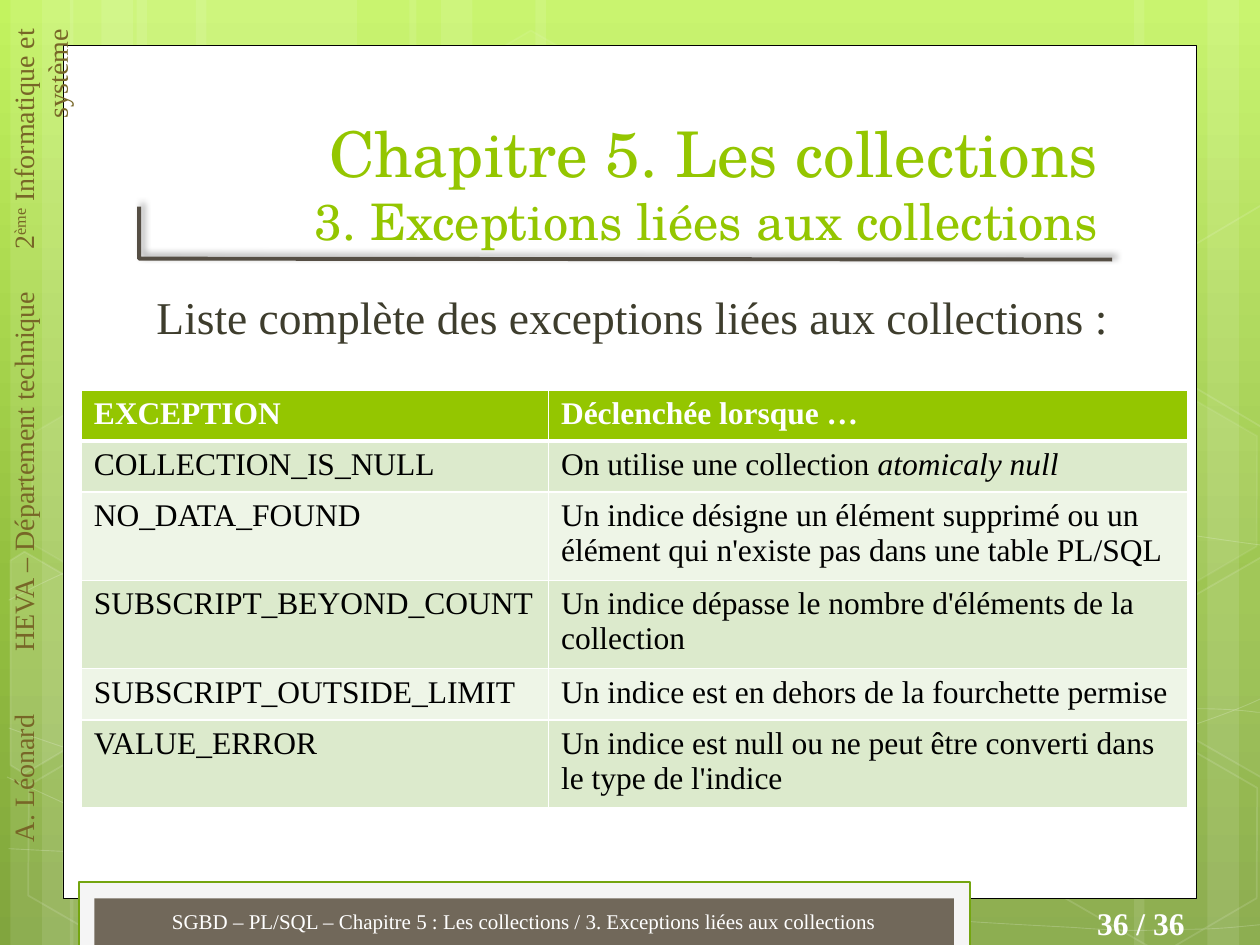
"""Build the slide that lists the exceptions raised by PL/SQL collections."""
from copy import deepcopy
from dataclasses import dataclass
from math import cos, radians, sin

from lxml.etree import SubElement as Sub
from pptx import Presentation
from pptx.dml.color import RGBColor
from pptx.enum.shapes import MSO_SHAPE as Kind
from pptx.enum.text import MSO_ANCHOR as Anchor, MSO_AUTO_SIZE as Auto, PP_ALIGN as Align
from pptx.oxml.ns import qn
from pptx.util import Pt


@dataclass(frozen=True)
class Theme:
    serif: str = "Times New Roman"
    school: str = "TeX Gyre Schola"
    white: str = "FFFFFF"
    black: str = "000000"
    green: str = "94C600"
    rim: str = "74A510"
    pale: str = "F5F5F5"
    brown: str = "71685A"
    rule: str = "554E44"
    gold: str = "776627"
    ink: str = "3E3D2D"
    bands: tuple = ("DCEACC", "EEF5E7")
    sky: tuple = ((0, "C3F35F"), (0.62, "93BF3F"), (1, "81A53E"))
    big: float = 36
    sub: float = 28.8
    lead: float = 26
    cell: float = 18
    side: float = 16
    foot: float = 12


T = Theme()
TITLE = ("Chapitre 5. Les collections", "3. Exceptions liées aux collections")
LEAD = "Liste complète des exceptions liées aux collections :"
FOOT = "SGBD – PL/SQL – Chapitre 5 : Les collections / 3. Exceptions liées aux collections"
PAGE = "36 / 36"
SIDE = [("A. Léonard", {}), (" ", {"spc": "3200"}), ("HEVA – Département technique", {}),
        (" ", {"spc": "2000"}), ("2", {}), ("ème", {"baseline": "30000"}),
        (" Informatique et système", {})]
ROWS = [
    (["EXCEPTION"], ["Déclenchée lorsque …"]),
    (["COLLECTION_IS_NULL"], ["On utilise une collection ", "atomicaly null"]),
    (["NO_DATA_FOUND"], ["Un indice désigne un élément supprimé ou un élément "
                         "qui n'existe pas dans une table PL/SQL"]),
    (["SUBSCRIPT_BEYOND_COUNT"], ["Un indice dépasse le nombre d'éléments de la collection"]),
    (["SUBSCRIPT_OUTSIDE_LIMIT"], ["Un indice est en dehors de la fourchette permise"]),
    (["VALUE_ERROR"], ["Un indice est null ou ne peut être converti dans le type de l'indice"]),
]
COLS, TALL = (267, 365.6), 29.2
BARS = [(78, 126), (6, 36), (24, 60), (112, 126), (40, 36), (58, 60),
        (528, 126), (690, 36), (648, 60), (306, 222), (234, 36), (252, 60)]
CURVES = [
    [(5, 485), (44, 487), (83, 489), (137, 488), (191, 487), (258, 486), (330, 479),
     (402, 472), (504, 458), (570, 444), (636, 431), (703, 409), (725, 397)],
    [(5, 343), (26, 332), (47, 321), (87, 310), (128, 300), (186, 284), (250, 279),
     (314, 274), (392, 273), (471, 279), (550, 284), (682, 307), (725, 312)],
    [(4, 444), (91, 484), (178, 523), (240, 539)],
    [(5, 416), (27, 424), (50, 432), (92, 444), (134, 454), (197, 472), (257, 485),
     (317, 497), (392, 510), (452, 517), (512, 525), (576, 528), (614, 530),
     (652, 533), (662, 531), (680, 531), (699, 531), (712, 529), (725, 528)],
    [(174, 539), (187, 525), (200, 510), (217, 498), (235, 485), (259, 470), (279, 460),
     (300, 450), (312, 446), (338, 438), (364, 431), (413, 421), (438, 416),
     (464, 411), (467, 411), (490, 410), (512, 407), (547, 405), (572, 405),
     (597, 404), (638, 405), (638, 405), (654, 405), (670, 405), (686, 405),
     (699, 405), (711, 406), (718, 407), (724, 407), (722, 407), (724, 408)],
]
HEXES = [(240.5, 26, 4, 8), (358, 424, 6, 12), (8, 425.5, 0, 12), (10, 224.5, 7, 8),
         (125, 426, 0, 12), (542, 326, 10, 12), (600.5, 427, 0, 12), (600.5, 226, 7, 8)]
CHIPS = [
    ([(6, 320), (14, 315), (69, 347), (68, 410), (14, 442), (6, 437)], (25.9, 385.2), 10),
    ([(667, 349), (721, 318), (726, 321), (726, 441), (721, 444), (667, 413)], (709.2, 374.4), 4),
    ([(667, 149), (721, 117), (727, 121), (726, 241), (721, 244), (667, 212)], (709.2, 173.5), 0),
]
TURN = 30


def tint(fill, color, alpha=100):
    """Make a fill solid and return its opacity in percent."""
    fill.solid()
    fill.fore_color.rgb = RGBColor.from_string(color)
    return alpha


def paint(shape, fill=None, line=None, width=1, veil=100, haze=100):
    """Set fill and line of a shape; veil and haze are their opacities."""
    shape.shadow.inherit = False
    alphas = []
    if fill:
        alphas.append(tint(shape.fill, fill, veil))
    else:
        shape.fill.background()
    if line:
        alphas.append(tint(shape.line.fill, line, haze))
        shape.line.width = Pt(width)
    else:
        shape.line.fill.background()
    if min(alphas) < 100:
        props = shape.element.find(qn("p:spPr"))
        for node, alpha in zip(props.iter(qn("a:srgbClr")), alphas):
            Sub(node, qn("a:alpha"), val=str(alpha * 1000))
    return shape


def block(shapes, box, kind=Kind.RECTANGLE):
    return shapes.add_shape(kind, *map(Pt, box))


def trace(shapes, dots, close=False):
    dots = [(Pt(x), Pt(y)) for x, y in dots]
    pen = shapes.build_freeform(*dots[0])
    pen.add_line_segments(dots[1:], close=close)
    return pen.convert_to_shape()


def bend(shape):
    """Turn each three line segments of an outline into one cubic curve."""
    path = shape.element.find(".//" + qn("a:path"))
    legs = path.findall(qn("a:lnTo"))
    for i in range(0, len(legs), 3):
        curve = Sub(path, qn("a:cubicBezTo"))
        for leg in legs[i:i + 3]:
            curve.append(leg[0])
            path.remove(leg)
    return shape


def spin(dots, hub):
    """Turn points back by TURN degrees round a hub."""
    c, s = cos(radians(TURN)), sin(radians(TURN))
    gaps = [(x - hub[0], y - hub[1]) for x, y in dots]
    return [(hub[0] + x * c + y * s, hub[1] + y * c - x * s) for x, y in gaps]


def write(frame, parts, size, color, face=T.serif, align=Align.LEFT, bold=False):
    """Fill the first paragraph with runs and return it."""
    para = frame.paragraphs[0]
    para.alignment = align
    font = para.font
    font.name, font.size, font.bold = face, Pt(size), bold
    font.color.rgb = RGBColor.from_string(color)
    for part in parts:
        para.add_run().text = part
    return para


def label(shapes, box, *args, **style):
    shape = shapes.add_textbox(*map(Pt, box))
    shape.text_frame.word_wrap = True
    return shape, write(shape.text_frame, *args, **style)


def place(shape, box):
    """Move a placeholder to a box, in front of all else."""
    shape.left, shape.top, shape.width, shape.height = map(Pt, box)
    shape.text_frame.auto_size = Auto.NONE
    shape.element.getparent().append(shape.element)
    return shape.text_frame


def scene(slide):
    fill = slide.background.fill
    fill.gradient()
    fill.gradient_angle = 270
    first = slide.element.find(".//" + qn("a:gs"))
    first.addnext(deepcopy(first))
    for stop, (pos, color) in zip(fill.gradient_stops, T.sky):
        stop.position, stop.color.rgb = pos, RGBColor.from_string(color)
    shapes = slide.shapes
    for left, width in BARS:
        paint(block(shapes, (left, 0, width, 540)), T.white, veil=10)
    for knots in CURVES:
        paint(bend(trace(shapes, knots)), None, T.white, 0.5, haze=20)
    for left, top, veil, haze in HEXES:
        hexa = block(shapes, (left, top, 126, 109.5), Kind.HEXAGON)
        hexa.adjustments[0], hexa.rotation = 0.285, TURN
        paint(hexa, T.white if veil else None, T.white, 1, veil, haze)
    for dots, hub, veil in CHIPS:
        chip = trace(shapes, spin(dots, hub), True)
        chip.rotation = TURN
        paint(chip, T.white if veil else None, T.white, 1, veil, 12)
    paint(block(shapes, (36, 26, 648, 487.3)), T.white, T.black, 0.5)
    paint(block(shapes, (45, 504, 509.4, 36.5)), T.pale, T.rim, 1.25)
    paint(block(shapes, (54, 513.3, 491.2, 27)), T.brown)
    rule = paint(trace(shapes, [(79.5, 118), (79.5, 147.8), (635.5, 148.3)]), None, T.rule, 2.25)
    glow = Sub(rule.element.find(".//" + qn("a:effectLst")), qn("a:outerShdw"),
               blurRad=str(Pt(4)), dist=str(Pt(3)), dir=str(315 * 60000))
    Sub(Sub(glow, qn("a:srgbClr"), val=T.black), qn("a:alpha"), val="40000")


def grid(shapes):
    table = shapes.add_table(len(ROWS), 2, Pt(46.4), Pt(222.9), Pt(sum(COLS)),
                             Pt(TALL * len(ROWS))).table
    for col, width in zip(table.columns, COLS):
        col.width = Pt(width)
    for i, texts in enumerate(ROWS):
        table.rows[i].height = Pt(TALL)
        for j, parts in enumerate(texts):
            cell, head = table.cell(i, j), i == 0
            props = cell._tc.get_or_add_tcPr()
            for side in "LRTB":
                thick = (side, i) in (("B", 0), ("T", 1))
                edge = Sub(props, qn("a:ln" + side), w=str(Pt(3 if thick else 1)))
                Sub(Sub(edge, qn("a:solidFill")), qn("a:srgbClr"), val=T.white)
            tint(cell.fill, T.green if head else T.bands[(i - 1) % 2])
            para = write(cell.text_frame, parts, T.cell, T.white if head else T.black, bold=head)
            for run in para.runs[1:]:
                run.font.italic = True


def main():
    deck = Presentation()
    deck.slide_width, deck.slide_height = Pt(720), Pt(540)
    slide = deck.slides.add_slide(deck.slide_layouts[1])
    shapes = slide.shapes
    scene(slide)
    box, para = label(shapes, (0, 9.4, 34, 530), [text for text, _ in SIDE],
                      T.side, T.gold, align=Align.RIGHT)
    box.element.find(".//" + qn("a:bodyPr")).set("vert", "vert270")
    for run, (_, looks) in zip(para.runs, SIDE):
        for name, value in looks.items():
            run._r.get_or_add_rPr().set(name, value)
    label(shapes, (591, 513.2, 93, 29), [PAGE], T.cell, T.white, align=Align.RIGHT, bold=True)
    frame = place(shapes.title, (80.6, 57, 554, 90))
    frame.vertical_anchor = Anchor.BOTTOM
    para = write(frame, TITLE[:1], T.big, T.green, T.school, Align.RIGHT)
    para.add_line_break()
    run = para.add_run()
    run.text, run.font.size = TITLE[1], Pt(T.sub)
    para = write(place(slide.placeholders[1], (82.2, 161.3, 582.5, 349)), [LEAD], T.lead, T.ink)
    para.space_before = Pt(5.2)
    props = para._p.get_or_add_pPr()
    props.set("marL", "0")
    props.set("indent", "0")
    props.insert_element_before(props.makeelement(qn("a:buNone")), "a:tabLst", "a:defRPr", "a:extLst")
    foot, _ = label(shapes, (54, 512, 491, 29), [FOOT], T.foot, T.white, align=Align.CENTER)
    foot.text_frame.vertical_anchor = Anchor.MIDDLE
    grid(shapes)
    deck.save("out.pptx")


if __name__ == "__main__":
    main()
